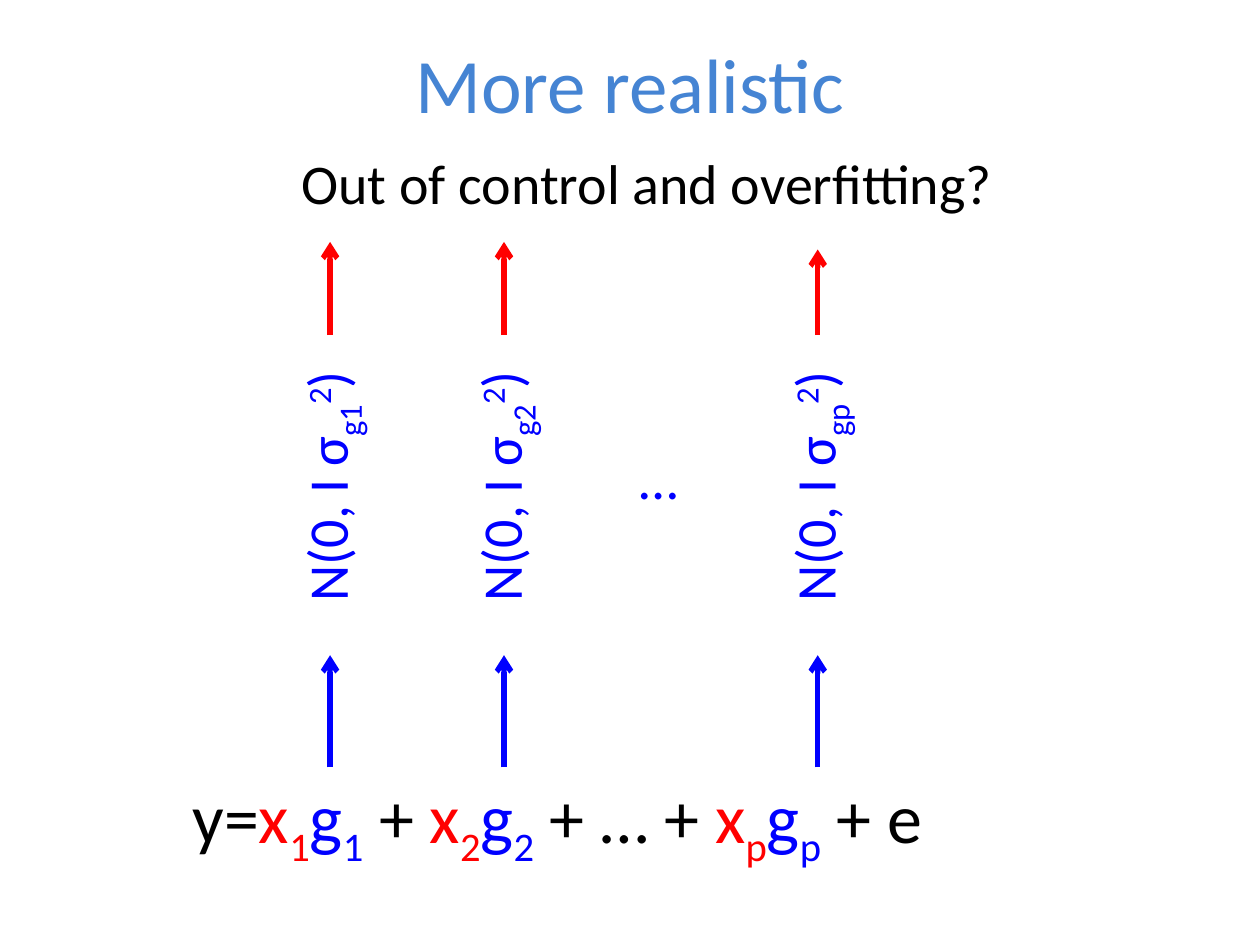
from lxml.etree import SubElement
from pptx import Presentation
from pptx.dml.color import RGBColor
from pptx.enum.shapes import MSO_CONNECTOR as Connector
from pptx.enum.text import MSO_ANCHOR as Anchor, MSO_AUTO_SIZE as AutoSize, PP_ALIGN as Align
from pptx.oxml.ns import qn
from pptx.util import Inches, Pt

WIDTH, HEIGHT = 10, 7.5
TITLE_BLUE = RGBColor(0x45, 0x84, 0xD3)
BLACK = RGBColor(0, 0, 0)
RED = RGBColor(0xFF, 0, 0)
BLUE = RGBColor(0, 0, 0xFF)
SUB, SUPER = -25, 30

# Horizontal centre of each model term
TERM_X = {"1": 2.62, "2": 4, "p": 6.49}
ARROW_TIP_Y = {"1": 1.92, "2": 1.92, "p": 1.98}
PRIOR_Y, PRIOR_W, PRIOR_H = 3.86, 2.38, 0.5
FORMULA_Y = 6.09


def add_text(slide, box, parts, size, align=Align.CENTER, anchor=Anchor.MIDDLE,
             auto_size=AutoSize.NONE, rotation=0):
    """Add one paragraph; each part is (text, colour, baseline percent)."""
    label = slide.shapes.add_textbox(*map(Inches, box))
    label.rotation = rotation
    frame = label.text_frame
    layout = {"word_wrap": True, "auto_size": auto_size, "vertical_anchor": anchor}
    for name, value in layout.items():
        setattr(frame, name, value)
    paragraph = frame.paragraphs[0]
    paragraph.alignment = align
    for text, colour, baseline in parts:
        run = paragraph.add_run()
        run.text = text
        for name, value in {"name": "Calibri", "size": Pt(size)}.items():
            setattr(run.font, name, value)
        run.font.color.rgb = colour
        if baseline:
            run.font._element.set("baseline", str(baseline * 1000))


def add_up_arrow(slide, x, bottom, top, colour):
    arrow = slide.shapes.add_connector(Connector.STRAIGHT, *map(Inches, (x, bottom, x, top)))
    arrow.line.color.rgb = colour
    arrow.line.width = Pt(3)
    SubElement(arrow.line._get_or_add_ln(), qn("a:tailEnd"), type="arrow")
    SubElement(arrow._element.spPr, qn("a:effectLst"))


def add_prior(slide, term):
    """Add the upright distribution of one effect, centred on its term."""
    box = (TERM_X[term] - PRIOR_W / 2, PRIOR_Y - PRIOR_H / 2, PRIOR_W, PRIOR_H)
    parts = [("N(0, I σ", BLUE, 0), ("g" + term, BLUE, SUB), ("2", BLUE, SUPER), (")", BLUE, 0)]
    add_text(slide, box, parts, 32, rotation=270)


def formula_parts():
    parts = [("y=", BLACK, 0)]
    for term, joint in zip(TERM_X, (" + ", " + … + ", " + e")):
        parts += [("x", RED, 0), (term, RED, SUB), ("g", BLUE, 0), (term, BLUE, SUB),
                  (joint, BLACK, 0)]
    return parts


def main():
    deck = Presentation()
    deck.slide_width, deck.slide_height = Inches(WIDTH), Inches(HEIGHT)
    slide = deck.slides.add_slide(deck.slide_layouts[6])
    growing = {"anchor": Anchor.TOP, "auto_size": AutoSize.SHAPE_TO_FIT_TEXT}

    add_text(slide, (0.5, -0.03, 0.9 * WIDTH, 1.37), [("More realistic", TITLE_BLUE, 0)], 44)
    add_text(slide, (0.69, 1.13, 8.89, 0.64),
             [("Out of control and overfitting?", BLACK, 0)], 32, **growing)
    add_text(slide, (1.43, FORMULA_Y, 7.4, 0.77), formula_parts(), 40,
             align=Align.LEFT, **growing)
    for term, x in TERM_X.items():
        add_up_arrow(slide, x, FORMULA_Y, 5.2, BLUE)
        add_prior(slide, term)
        add_up_arrow(slide, x, 2.66, ARROW_TIP_Y[term], RED)
    add_text(slide, (4.7, 3.54, 1.06, PRIOR_H), [("…", BLUE, 0)], 32)

    deck.save("out.pptx")


if __name__ == "__main__":
    main()
